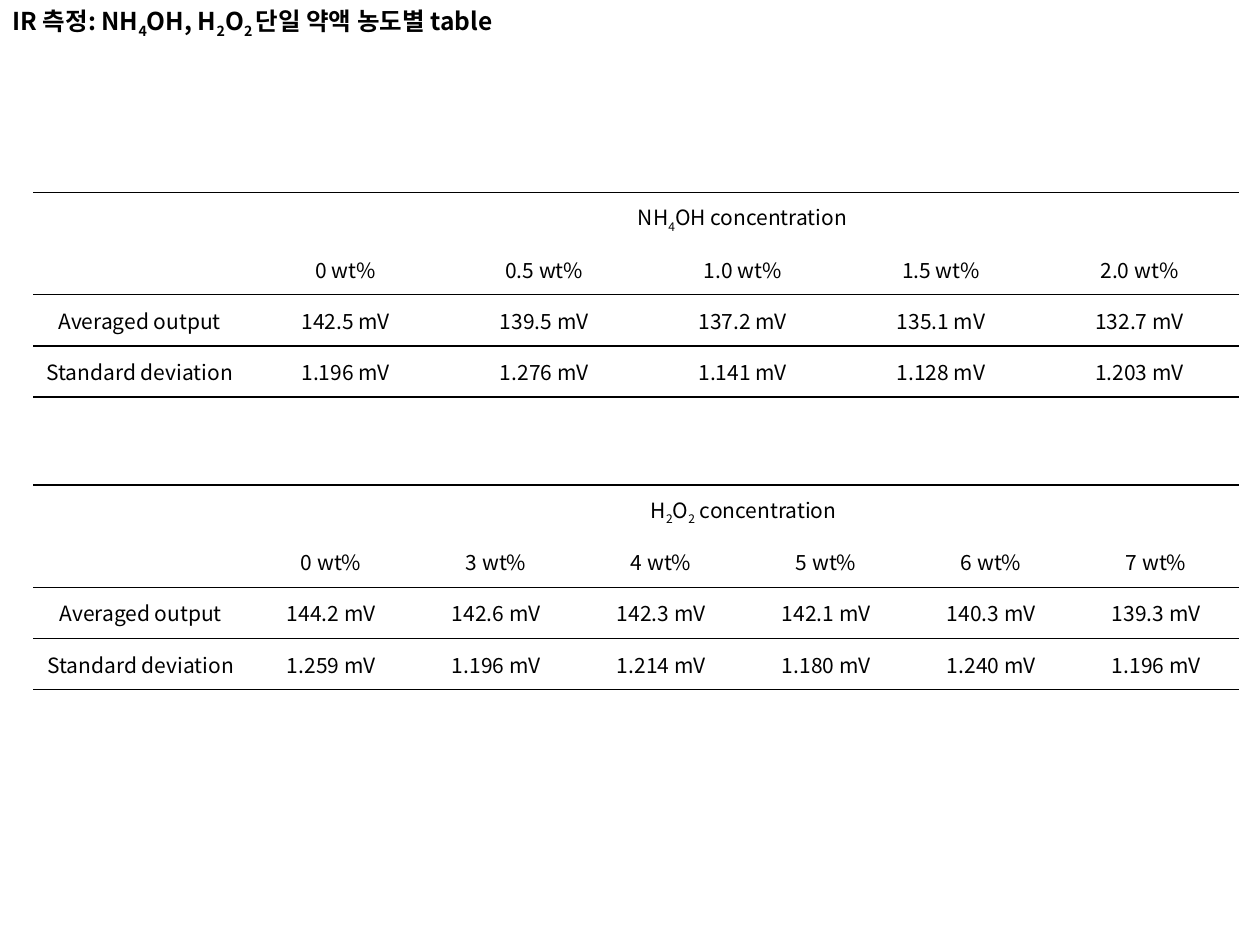
import pptx
import pptx.dml.color
import pptx.enum.text
import pptx.oxml.ns
import pptx.util
from lxml import etree

Pt = pptx.util.Pt
qn = pptx.oxml.ns.qn
PP_ALIGN = pptx.enum.text.PP_ALIGN
MSO_ANCHOR = pptx.enum.text.MSO_ANCHOR

COLORS = {"ink": "000000"}
FONT = "Noto Sans CJK KR"
NO_STYLE = "{2D5ABB26-0587-4C30-8999-92F81FD0307C}"
ROW_HEIGHT = 29.2


def add_runs(p, text, size, bold=False):
    """Add text run by run; parts between underscores are subscripts."""
    for i, part in enumerate(text.split("_")):
        if not part:
            continue
        r = p.add_run()
        r.text = part
        r.font.size = Pt(size)
        r.font.bold = bold
        r.font.name = FONT
        r.font.color.rgb = pptx.dml.color.RGBColor.from_string(COLORS["ink"])
        rPr = r.font._element
        etree.SubElement(rPr, qn("a:ea"), typeface=FONT)
        if i % 2:
            rPr.set("baseline", "-25000")


def add_border(cell, side):
    tcPr = cell._tc.get_or_add_tcPr()
    ln = etree.SubElement(tcPr, qn("a:" + side), w=str(Pt(1)))
    fill = etree.SubElement(ln, qn("a:solidFill"))
    etree.SubElement(fill, qn("a:srgbClr"), val=COLORS["ink"])


def add_title(s, left, top, width, height, text):
    sp = s.shapes.add_textbox(Pt(left), Pt(top), Pt(width), Pt(height))
    tf = sp.text_frame
    tf.word_wrap = False
    tf.auto_size = pptx.enum.text.MSO_AUTO_SIZE.SHAPE_TO_FIT_TEXT
    add_runs(tf.paragraphs[0], text, 14, bold=True)


def add_concentration_table(s, left, top, width, label_width, heading, levels, outputs, deviations):
    rows = [
        ["", heading] + [""] * (len(levels) - 1),
        [""] + [f"{v} wt%" for v in levels],
        ["Averaged output"] + [f"{v} mV" for v in outputs],
        ["Standard deviation"] + [f"{v} mV" for v in deviations],
    ]
    n_rows, n_cols = len(rows), len(rows[0])
    frame = s.shapes.add_table(n_rows, n_cols, Pt(left), Pt(top), Pt(width), Pt(ROW_HEIGHT * n_rows))
    table = frame.table
    table.first_row = table.horz_banding = False
    table._tbl.tblPr.find(qn("a:tableStyleId")).text = NO_STYLE

    # Label column, then equal value columns
    for i, column in enumerate(table.columns):
        column.width = Pt(label_width if i == 0 else (width - label_width) / len(levels))
    table.cell(0, 1).merge(table.cell(0, n_cols - 1))

    # Cells, ruled above the heading and around each data row
    for i, row in enumerate(rows):
        table.rows[i].height = Pt(ROW_HEIGHT)
        for j, text in enumerate(row):
            cell = table.cell(i, j)
            cell.vertical_anchor = MSO_ANCHOR.MIDDLE
            p = cell.text_frame.paragraphs[0]
            p.alignment = PP_ALIGN.CENTER
            p.font.size = Pt(12)
            add_runs(p, text, 12)
            if i != 1:
                add_border(cell, "lnT")
            if i > 0:
                add_border(cell, "lnB")
            cell.fill.background()


def main():
    prs = pptx.Presentation()
    prs.slide_width, prs.slide_height = Pt(720), Pt(540)
    s = prs.slides.add_slide(prs.slide_layouts[6])

    add_title(s, 0, 0, 318, 24.5, "IR 측정: NH_4_OH, H_2_O_2 _단일 약액 농도별 table")

    # One table for each chemical
    add_concentration_table(
        s, 18.9, 110, 689, 122, "NH_4_OH concentration",
        ["0", "0.5", "1.0", "1.5", "2.0"],
        ["142.5", "139.5", "137.2", "135.1", "132.7"],
        ["1.196", "1.276", "1.141", "1.128", "1.203"])
    add_concentration_table(
        s, 18.9, 277.2, 689, 123.2, "H_2_O_2_ concentration",
        ["0", "3", "4", "5", "6", "7"],
        ["144.2", "142.6", "142.3", "142.1", "140.3", "139.3"],
        ["1.259", "1.196", "1.214", "1.180", "1.240", "1.196"])

    prs.save("out.pptx")


if __name__ == "__main__":
    main()
